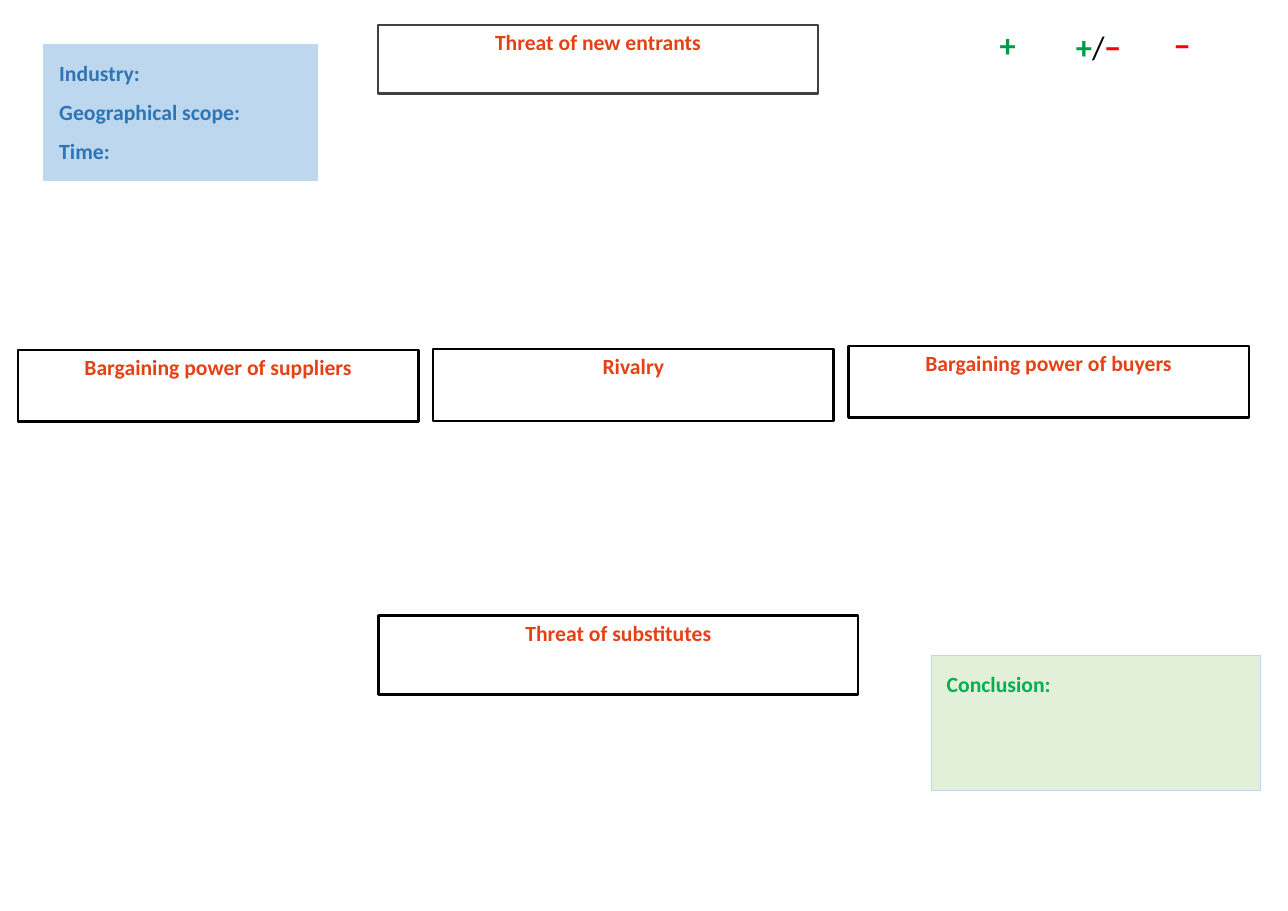
from dataclasses import dataclass
from typing import Any, Optional

from lxml.etree import SubElement
from pptx import Presentation
from pptx.dml.color import RGBColor
from pptx.enum.shapes import MSO_SHAPE as Preset
from pptx.enum.text import MSO_ANCHOR as Anchor, MSO_AUTO_SIZE as AutoSize, PP_ALIGN as Align
from pptx.oxml.ns import qn
from pptx.util import Inches, Pt

COLOURS = {
    "white": "FFFFFF", "black": "000000", "charcoal": "404040",
    "force": "E44216", "scope": "2E75B6", "scope_fill": "BDD7EE",
    "conclusion": "00B050", "conclusion_fill": "E2F0D9",
    "plus": "009A46", "minus": "FF0000",
}
SLIDE_WIDTH, SLIDE_HEIGHT = Inches(16.53), Inches(11.69)
PLUS, SLASH, MINUS = ("+", "plus"), ("/", "black"), ("\u2212", "minus")


@dataclass(frozen=True)
class Area:
    """A rectangle in percent of the slide's width and height."""
    left: float
    top: float
    width: float
    height: float

    def lengths(self) -> dict[str, int]:
        """Return the position and size in slide units."""
        return {
            "left": round(SLIDE_WIDTH * self.left / 100),
            "top": round(SLIDE_HEIGHT * self.top / 100),
            "width": round(SLIDE_WIDTH * self.width / 100),
            "height": round(SLIDE_HEIGHT * self.height / 100),
        }


@dataclass(frozen=True)
class Force:
    """One competitive force and its frame."""
    heading: str
    area: Area
    outline: str = "black"
    fill: Optional[str] = None


@dataclass(frozen=True)
class Panel:
    """A filled panel of labels to complete."""
    labels: tuple[str, ...]
    area: Area
    ink: str
    fill: str


@dataclass(frozen=True)
class Rating:
    """A rating sign made of coloured marks."""
    marks: tuple[tuple[str, str], ...]
    area: Area


ROW_LEFT, ROW_PITCH = 1.39, 32.24
ROW = [("Bargaining power of suppliers", 38.41), ("Rivalry", 38.32),
       ("Bargaining power of buyers", 37.98)]
FORCES = [
    Force("Threat of new entrants", Area(29.34, 2.74, 34.18, 7.53), "charcoal", "white"),
    *(Force(heading, Area(ROW_LEFT + column * ROW_PITCH, top, 31.09, 7.87))
      for column, (heading, top) in enumerate(ROW)),
    Force("Threat of substitutes", Area(29.4, 67.58, 37.21, 8.64)),
]
SCOPE = Panel(("Industry:", "Geographical scope:", "Time:"),
              Area(3.39, 4.88, 21.29, 14.88), "scope", "scope_fill")
CONCLUSION = Panel(("Conclusion:",), Area(72.29, 71.94, 25.53, 14.88),
                   "conclusion", "conclusion_fill")
RATINGS = [
    Rating((PLUS,), Area(77.01, 2.31, 2.48, 5.22)),
    Rating((PLUS, SLASH, MINUS), Area(82.94, 2.57, 4.78, 5.22)),
    Rating((MINUS,), Area(90.56, 2.31, 2.48, 5.22)),
]

FRAME_FORMAT = {"word_wrap": True, "auto_size": AutoSize.NONE, "vertical_anchor": Anchor.TOP}
PANEL_FORMAT = FRAME_FORMAT | {
    f"margin_{side}": Inches(0.2) for side in ("left", "top", "right", "bottom")}
RATING_FORMAT = FRAME_FORMAT | {"word_wrap": False}
FORCE_PARAGRAPH = {"alignment": Align.CENTER, "space_after": Pt(6)}
PANEL_PARAGRAPH = {"alignment": Align.LEFT, "space_before": Pt(12)}


def apply(target: Any, values: dict[str, Any]) -> None:
    """Set every attribute in values on the target."""
    for attribute, value in values.items():
        setattr(target, attribute, value)


def rgb(colour: str) -> RGBColor:
    """Look up a named colour."""
    return RGBColor.from_string(COLOURS[colour])


def write(paragraph: Any, wording: str, ink: str, size: int = 20, bold: bool = True) -> None:
    """Add one run of coloured Calibri."""
    run = paragraph.add_run()
    run.text = wording
    apply(run.font, {"name": "Calibri", "size": Pt(size), "bold": bold})
    run.font.color.rgb = rgb(ink)


def paint(box: Any, fill: Optional[str], outline: str, weight: float) -> None:
    """Give a box its fill and outline, without a shadow."""
    box.shadow.inherit = False
    if fill:
        box.fill.solid()
        box.fill.fore_color.rgb = rgb(fill)
    else:
        box.fill.background()
    box.line.color.rgb = rgb(outline)
    box.line.width = Pt(weight)


def add_rectangle(slide: Any, area: Area) -> Any:
    """Add a rectangle over an area."""
    return slide.shapes.add_shape(Preset.RECTANGLE, **area.lengths())


def draw_force(slide: Any, force: Force) -> None:
    """Draw the frame and heading of a force."""
    frame = add_rectangle(slide, force.area)
    paint(frame, force.fill, force.outline, 2.25)
    apply(frame.text_frame, FRAME_FORMAT)
    heading = frame.text_frame.paragraphs[0]
    apply(heading, FORCE_PARAGRAPH)
    write(heading, force.heading, "force")


def draw_panel(box: Any, panel: Panel) -> None:
    """Turn a box into a panel of unbulleted labels."""
    apply(box, panel.area.lengths())
    paint(box, panel.fill, "scope_fill", 0.75)
    text = box.text_frame
    apply(text, PANEL_FORMAT)
    for index, label in enumerate(panel.labels):
        line = text.add_paragraph() if index else text.paragraphs[0]
        apply(line, PANEL_PARAGRAPH)
        properties = line._p.get_or_add_pPr()
        properties.set("marL", "0")
        properties.set("indent", "0")
        SubElement(properties, qn("a:buNone"))
        write(line, label, panel.ink)


def draw_rating(slide: Any, rating: Rating) -> None:
    """Write a rating sign, its slash in regular weight."""
    sign = slide.shapes.add_textbox(**rating.area.lengths())
    apply(sign.text_frame, RATING_FORMAT)
    for mark, ink in rating.marks:
        write(sign.text_frame.paragraphs[0], mark, ink, size=30, bold=mark != "/")


def build() -> None:
    """Build and save the five forces slide."""
    deck = Presentation()
    apply(deck, {"slide_width": SLIDE_WIDTH, "slide_height": SLIDE_HEIGHT})
    slide = deck.slides.add_slide(deck.slide_layouts[1])
    unused_title = slide.shapes.title.element
    unused_title.getparent().remove(unused_title)
    draw_panel(slide.placeholders[1], SCOPE)
    for force in FORCES:
        draw_force(slide, force)
    for rating in RATINGS:
        draw_rating(slide, rating)
    draw_panel(add_rectangle(slide, CONCLUSION.area), CONCLUSION)
    deck.save("out.pptx")


build()
